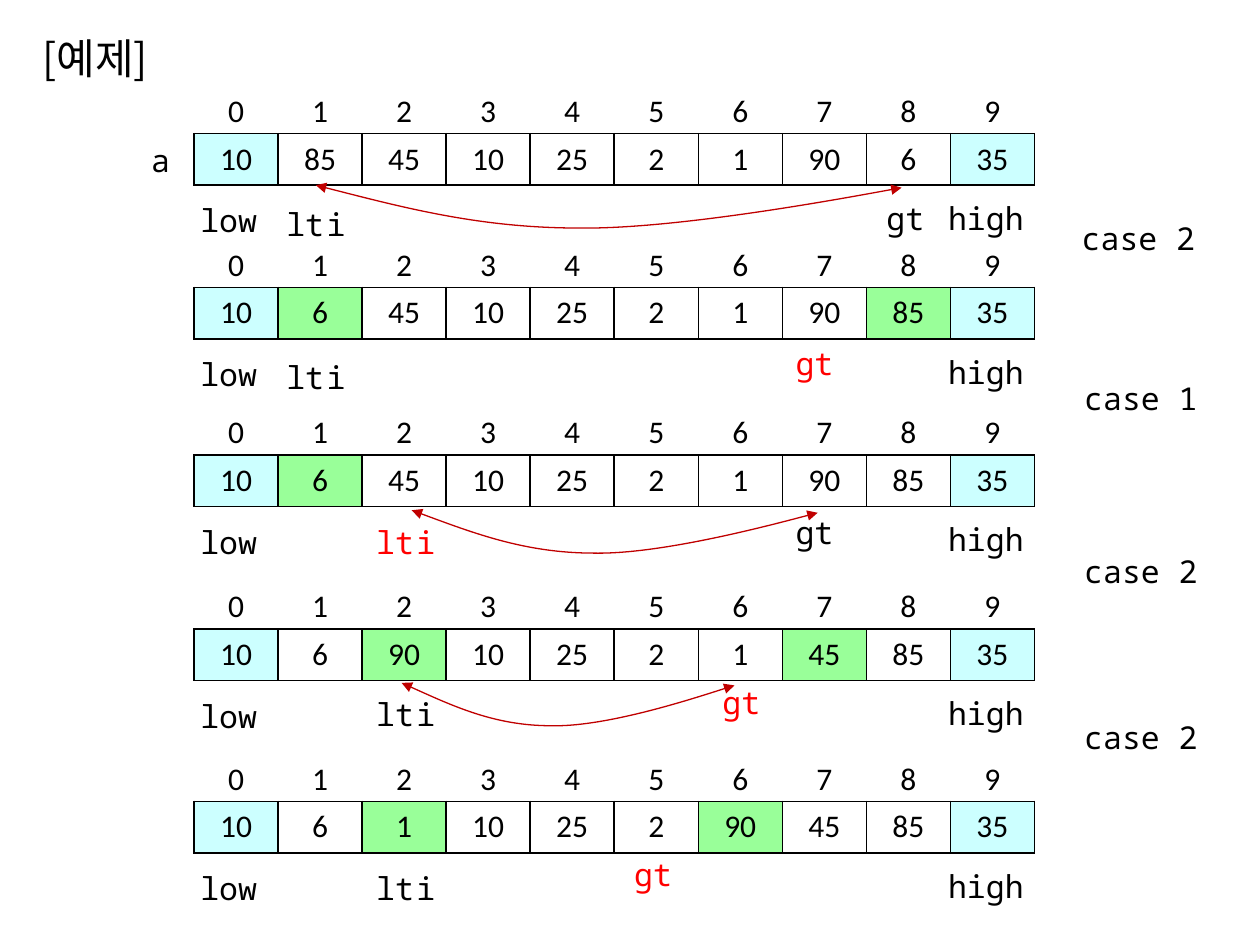
from lxml.etree import SubElement
from pptx import Presentation
from pptx.dml.color import RGBColor
from pptx.enum.text import MSO_ANCHOR, MSO_AUTO_SIZE, PP_ALIGN
from pptx.oxml.ns import qn
from pptx.util import Inches, Pt

# Grid: ten array columns
COLUMNS = 10
GRID_LEFT, GRID_WIDTH = 1.54, 6.67
COLUMN_WIDTH = GRID_WIDTH / COLUMNS
ROW_HEIGHT = 0.41
VALUES_OFFSET = 0.38  # from the index row to the value row

MONO, KOREAN, DIGITS = "Noto Sans Mono", "Noto Sans CJK KR", "Calibri"
BLACK, RED, ARROW_RED = "000000", "FF0000", "C00000"
END_FILL, SWAP_FILL = "CCFFFF", "99FF99"
NO_STYLE_NO_GRID = "{2D5ABB26-0587-4C30-8999-92F81FD0307C}"

# Partition steps: lt and gt are (left in columns, top below the index row, colour)
STEPS = [
    dict(top=0.68, values=[10, 85, 45, 10, 25, 2, 1, 90, 6, 35], swapped=(),
         lt=(0.79, 0.9, BLACK), gt=(8.02, 0.85, BLACK)),
    dict(top=1.9, values=[10, 6, 45, 10, 25, 2, 1, 90, 85, 35], swapped=(1, 8),
         lt=(0.79, 0.89, BLACK), gt=(6.94, 0.78, RED)),
    dict(top=3.23, values=[10, 6, 45, 10, 25, 2, 1, 90, 85, 35], swapped=(1,),
         lt=(1.86, 0.87, RED), gt=(6.94, 0.79, BLACK)),
    dict(top=4.61, values=[10, 6, 90, 10, 25, 2, 1, 45, 85, 35], swapped=(2, 7),
         lt=(1.86, 0.86, BLACK), gt=(6.07, 0.76, RED)),
    dict(top=5.98, values=[10, 6, 1, 10, 25, 2, 90, 45, 85, 35], swapped=(2, 6),
         lt=(1.86, 0.87, BLACK), gt=(5.02, 0.76, RED)),
]
CASES = [("case 2", 8.48, 1.69), ("case 1", 8.5, 2.96),
         ("case 2", 8.5, 4.33), ("case 2", 8.5, 5.65)]

# Swap arrows: first column position, span in columns, top
SWAPS = [(1.45, 6.97, 1.47), (2.59, 4.83, 4.05), (2.47, 3.96, 5.42)]
SWAP_DEPTH = 0.34
# Bezier points as shares of the arrow's span and depth
SWAP_CURVE = [(0.14, 0.49), (0.28, 1), (0.45, 1), (0.62, 1.03), (1, 0.06), (1, 0.06)]


def color(hex_value):
    return RGBColor.from_string(hex_value)


def column_left(column):
    return GRID_LEFT + column * COLUMN_WIDTH


def write_text(frame, text, font=MONO, size=18, text_color=BLACK):
    paragraph = frame.paragraphs[0]
    paragraph.alignment = PP_ALIGN.CENTER
    run = paragraph.add_run()
    run.text = text
    run.font.size = Pt(size)
    run.font.name = font
    run.font.color.rgb = color(text_color)
    SubElement(run._r.get_or_add_rPr(), qn("a:ea"), typeface=font)


def add_label(slide, text, left, top, width, height=0.4, wrap=False, **text_format):
    box = slide.shapes.add_textbox(Inches(left), Inches(top), Inches(width), Inches(height))
    box.text_frame.word_wrap = wrap
    box.text_frame.auto_size = MSO_AUTO_SIZE.SHAPE_TO_FIT_TEXT
    write_text(box.text_frame, text, **text_format)


def add_borders(cell):
    properties = cell._tc.get_or_add_tcPr()
    for side in ("a:lnL", "a:lnR", "a:lnT", "a:lnB"):
        line = SubElement(properties, qn(side), w=str(Pt(1)))
        fill = SubElement(line, qn("a:solidFill"))
        SubElement(fill, qn("a:srgbClr"), val=BLACK)


def add_array_row(slide, values, top, fills=None, bordered=False):
    table = slide.shapes.add_table(1, COLUMNS, Inches(GRID_LEFT), Inches(top),
                                   Inches(GRID_WIDTH), Inches(ROW_HEIGHT)).table
    table.first_row = table.horz_banding = False
    table._tbl.tblPr.find(qn("a:tableStyleId")).text = NO_STYLE_NO_GRID
    for column, value in enumerate(values):
        table.columns[column].width = Inches(COLUMN_WIDTH)
        cell = table.cell(0, column)
        cell.vertical_anchor = MSO_ANCHOR.MIDDLE
        write_text(cell.text_frame, str(value), font=DIGITS)
        if bordered:
            add_borders(cell)
        if fills and column in fills:
            cell.fill.solid()
            cell.fill.fore_color.rgb = color(fills[column])
        else:
            cell.fill.background()


def add_step(slide, top, values, swapped, lt, gt):
    fills = {0: END_FILL, COLUMNS - 1: END_FILL}
    fills.update(dict.fromkeys(swapped, SWAP_FILL))
    add_array_row(slide, range(COLUMNS), top)
    add_array_row(slide, values, top + VALUES_OFFSET, fills, bordered=True)

    add_label(slide, "low", 1.46, top + 0.87, 0.71)
    add_label(slide, "high", 7.36, top + 0.85, 0.93)
    column, offset, text_color = lt
    left = column_left(column)
    add_label(slide, "lt", left, top + offset, 0.71, text_color=text_color)
    add_label(slide, "i", left + 0.37, top + offset, 0.46, text_color=text_color)
    column, offset, text_color = gt
    add_label(slide, "gt", column_left(column), top + offset, 0.59, text_color=text_color)


def add_swap_arrow(slide, column, span, top):
    left, width = column_left(column), span * COLUMN_WIDTH
    points = [(Inches(left + x * width), Inches(top + y * SWAP_DEPTH))
              for x, y in SWAP_CURVE]
    builder = slide.shapes.build_freeform(Inches(left), Inches(top))
    builder.add_line_segments(points, close=False)
    shape = builder.convert_to_shape()
    shape.shadow.inherit = False
    shape.fill.background()
    shape.line.color.rgb = color(ARROW_RED)
    shape.line.width = Pt(0.75)

    # Every three points become one Bezier segment
    outline = next(shape._element.iter(qn("a:path")))
    segments = outline.findall(qn("a:lnTo"))
    for start in range(0, len(segments), 3):
        curve = SubElement(outline, qn("a:cubicBezTo"))
        for segment in segments[start:start + 3]:
            curve.append(segment[0])
            outline.remove(segment)

    line = shape.line._get_or_add_ln()
    for end in ("a:headEnd", "a:tailEnd"):
        SubElement(line, qn(end), type="triangle")


def main():
    presentation = Presentation()
    presentation.slide_width, presentation.slide_height = Inches(10), Inches(7.5)
    slide = presentation.slides.add_slide(presentation.slide_layouts[6])

    # Array states
    for step in STEPS:
        add_step(slide, **step)

    # Case labels
    for text, left, top in CASES:
        add_label(slide, text, left, top, 1.11)

    # Swaps
    for column, span, top in SWAPS:
        add_swap_arrow(slide, column, span, top)

    # Array name and title
    add_label(slide, "a", 0.78, 1.07, 0.99)
    add_label(slide, "[예제]", 0.21, 0.21, 1.09, 0.5, wrap=True, font=KOREAN, size=24)

    presentation.save("out.pptx")


if __name__ == "__main__":
    main()
